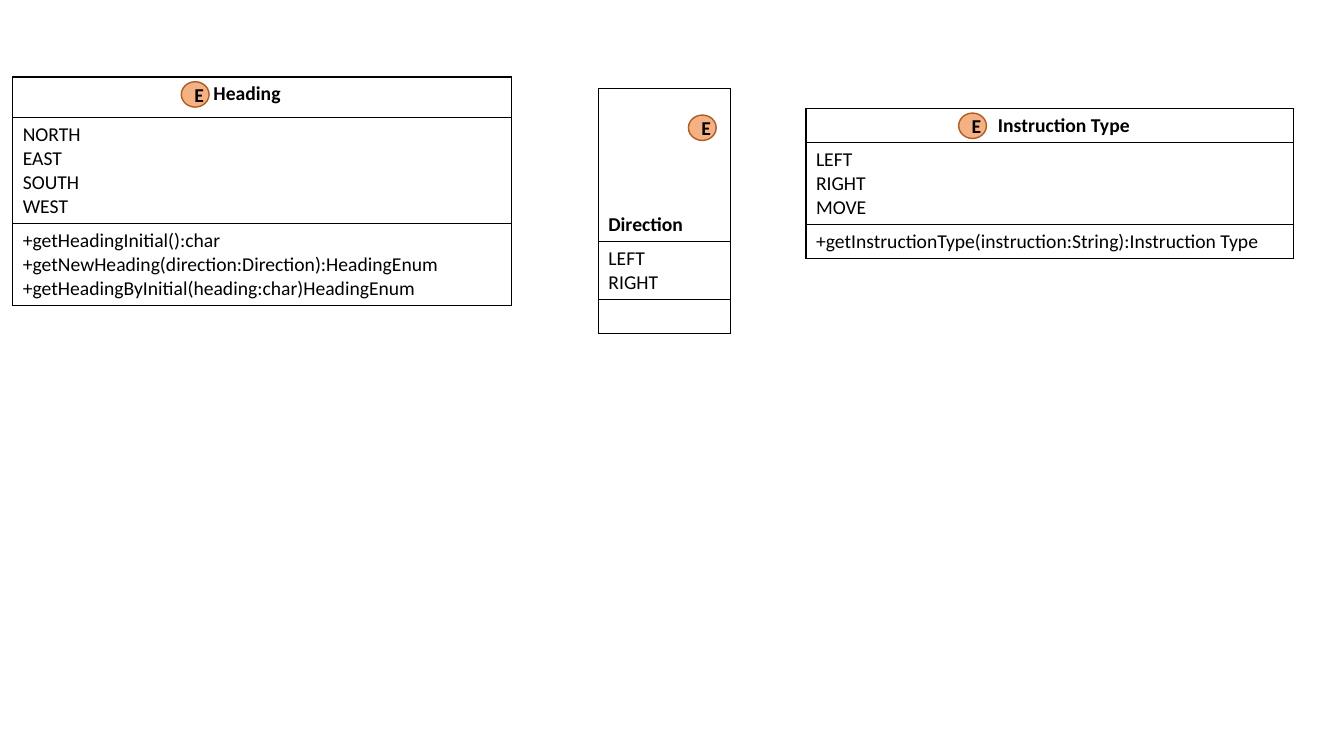
from lxml import etree
from pptx import Presentation
from pptx.dml.color import RGBColor
from pptx.enum.shapes import MSO_SHAPE
from pptx.enum.text import MSO_ANCHOR, PP_ALIGN
from pptx.oxml.ns import qn
from pptx.util import Cm, Pt

BLACK = RGBColor(0x00, 0x00, 0x00)
ORANGE = RGBColor(0xF4, 0xB1, 0x83)
BROWN = RGBColor(0xAF, 0x5C, 0x24)
CONNECTOR_CIRCLE = MSO_SHAPE.FLOWCHART_CONNECTOR
TOP, MIDDLE, BOTTOM = MSO_ANCHOR.TOP, MSO_ANCHOR.MIDDLE, MSO_ANCHOR.BOTTOM
LEFT, CENTER = PP_ALIGN.LEFT, PP_ALIGN.CENTER


def write_lines(text_frame, lines, bold=False, align=LEFT):
    for index, line in enumerate(lines):
        paragraph = text_frame.paragraphs[0] if index == 0 else text_frame.add_paragraph()
        paragraph.alignment = align
        run = paragraph.add_run()
        run.text = line
        run.font.name = "Calibri"
        run.font.size = Pt(14)
        run.font.bold = bold
        run.font.color.rgb = BLACK


def add_borders(cell):
    properties = cell._tc.get_or_add_tcPr()
    for position, side in enumerate(("a:lnL", "a:lnR", "a:lnT", "a:lnB")):
        line = etree.Element(qn(side), w=str(Pt(1)))
        fill = etree.SubElement(line, qn("a:solidFill"))
        etree.SubElement(fill, qn("a:srgbClr"), val=str(BLACK))
        properties.insert(position, line)


presentation = Presentation()
presentation.slide_width = Cm(33.87)
presentation.slide_height = Cm(19.05)
slide = presentation.slides.add_slide(presentation.slide_layouts[6])

# Enum classes: lengths in centimetres
enums = [
    dict(name="Heading", left=0.32, top=1.94, width=12.57, heights=(1.03, 2.67, 2.06),
         indent=5.06, anchor=TOP, badge=(4.57, 2.06),
         values=["NORTH", "EAST", "SOUTH", "WEST"],
         methods=["+getHeadingInitial():char",
                  "+getNewHeading(direction:Direction):HeadingEnum",
                  "+getHeadingByInitial(heading:char)HeadingEnum"]),
    dict(name="Direction", left=15.08, top=2.23, width=3.33, heights=(3.86, 1.46, 0.86),
         indent=0.25, anchor=BOTTOM, badge=(17.35, 2.9),
         values=["LEFT", "RIGHT"], methods=[]),
    dict(name="Instruction Type", left=20.31, top=2.74, width=12.28, heights=(0.86, 2.06, 0.86),
         indent=4.84, anchor=TOP, badge=(24.16, 2.85),
         values=["LEFT", "RIGHT", "MOVE"],
         methods=["+getInstructionType(instruction:String):Instruction Type"]),
]

for enum in enums:
    # Class box with name, values and methods
    table = slide.shapes.add_table(
        3, 1, Cm(enum["left"]), Cm(enum["top"]),
        Cm(enum["width"]), Cm(sum(enum["heights"]))).table
    table.first_row = False
    table.horz_banding = False
    sections = ([enum["name"]], enum["values"], enum["methods"])
    for row, (lines, height) in enumerate(zip(sections, enum["heights"])):
        table.rows[row].height = Cm(height)
        cell = table.cell(row, 0)
        cell.fill.background()
        add_borders(cell)
        write_lines(cell.text_frame, lines, bold=row == 0)
        if not lines:
            cell.margin_top = cell.margin_bottom = 0
    name_cell = table.cell(0, 0)
    name_cell.margin_left = Cm(enum["indent"])
    name_cell.vertical_anchor = enum["anchor"]

    # Enum badge
    badge_left, badge_top = enum["badge"]
    badge = slide.shapes.add_shape(
        CONNECTOR_CIRCLE, Cm(badge_left), Cm(badge_top), Cm(0.7), Cm(0.64))
    badge.shadow.inherit = False
    badge.fill.solid()
    badge.fill.fore_color.rgb = ORANGE
    badge.line.color.rgb = BROWN
    badge.line.width = Pt(1)
    text_frame = badge.text_frame
    text_frame.word_wrap = False
    text_frame.vertical_anchor = MIDDLE
    text_frame.margin_left = Cm(0.2)
    text_frame.margin_right = text_frame.margin_top = text_frame.margin_bottom = 0
    write_lines(text_frame, ["E"], bold=True, align=CENTER)

presentation.save("out.pptx")
